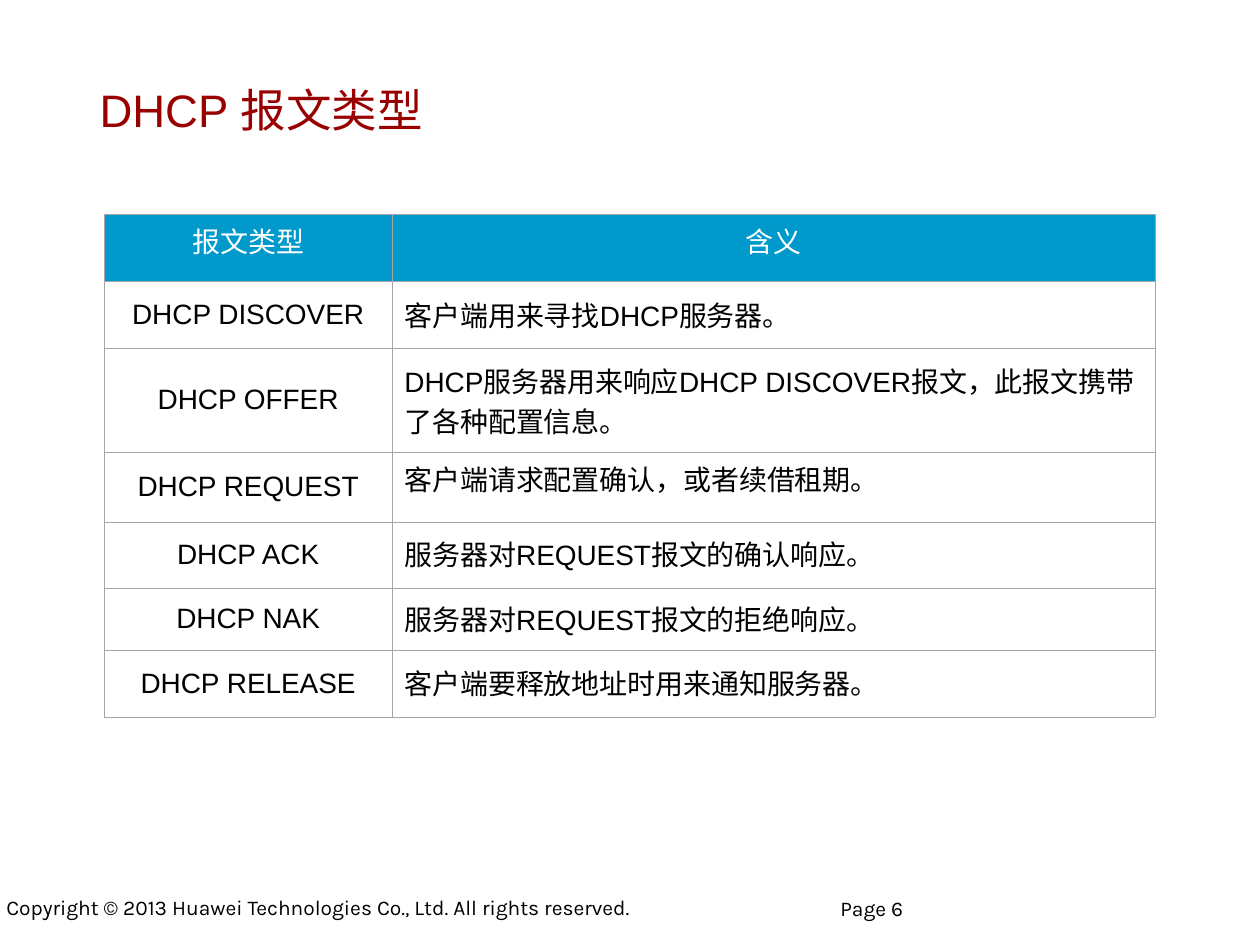
import pptx
import pptx.dml.color
import pptx.enum.text
import pptx.oxml
import pptx.oxml.ns
import pptx.util
from pptx.util import Inches

RGBColor = pptx.dml.color.RGBColor
ALIGN = pptx.enum.text.PP_ALIGN
ANCHOR = pptx.enum.text.MSO_ANCHOR

BLACK = RGBColor(0x00, 0x00, 0x00)
WHITE = RGBColor(0xFF, 0xFF, 0xFF)
DARK_RED = RGBColor(0x99, 0x00, 0x00)
HEADER_BLUE = RGBColor(0x00, 0x99, 0xCC)
GRID_GREY = RGBColor(0xA6, 0xA6, 0xA6)

HEADINGS = ("报文类型", "含义")
# message type, meaning, anchor of the meaning, its line spacing
MESSAGES = [
    ("DHCP DISCOVER", "客户端用来寻找DHCP服务器。", ANCHOR.MIDDLE, 1.0),
    ("DHCP OFFER", "DHCP服务器用来响应DHCP DISCOVER报文，此报文携带了各种配置信息。",
     ANCHOR.MIDDLE, 1.0),
    ("DHCP REQUEST", "客户端请求配置确认，或者续借租期。", ANCHOR.TOP, 1.0),
    ("DHCP ACK", "服务器对REQUEST报文的确认响应。", ANCHOR.MIDDLE, 0.9),
    ("DHCP NAK", "服务器对REQUEST报文的拒绝响应。", ANCHOR.MIDDLE, 0.9),
    ("DHCP RELEASE", "客户端要释放地址时用来通知服务器。", ANCHOR.MIDDLE, 0.9),
]
COLUMN_WIDTHS = (2.28, 6.06)
ROW_HEIGHTS = (0.53, 0.53, 0.83, 0.55, 0.53, 0.49, 0.53)


def apply_format(target, values):
    for name, value in values.items():
        setattr(target, name, value)


class SlidePainter:
    """Holds the shared text style and the slide being filled."""

    text_font = "Arial"
    footer_font = "Karla"
    grid_width = pptx.util.Pt(0.11)

    def __init__(self, slide):
        self.slide = slide

    def fill_text(self, frame, text, size, color, font=None, **layout):
        para = frame.paragraphs[0]
        span = para.add_run()
        span.text = text
        apply_format(para, layout)
        apply_format(span.font, {"name": font or self.text_font,
                                 "size": pptx.util.Pt(size)})
        span.font.color.rgb = color

    def text_box(self, place, text, size, color, font=None,
                 anchor=ANCHOR.TOP, inset=(0.09, 0.04), **layout):
        box = self.slide.shapes.add_textbox(*map(Inches, place))
        side, end = map(Inches, inset)
        apply_format(box.text_frame, {
            "word_wrap": True, "vertical_anchor": anchor,
            "margin_left": side, "margin_right": side,
            "margin_top": end, "margin_bottom": end})
        self.fill_text(box.text_frame, text, size, color, font, **layout)

    def table(self, left, top, widths, heights):
        place = map(Inches, (left, top, sum(widths), sum(heights)))
        table = self.slide.shapes.add_table(len(heights), len(widths), *place).table
        for column, width in zip(table.columns, widths):
            column.width = Inches(width)
        for row, height in zip(table.rows, heights):
            row.height = Inches(height)
        return table

    def cell(self, cell, text, fill, color, anchor=ANCHOR.MIDDLE, **layout):
        apply_format(cell, {
            "vertical_anchor": anchor,
            "margin_left": Inches(0.1), "margin_right": Inches(0.1),
            "margin_top": Inches(0.05), "margin_bottom": Inches(0.05)})
        self.fill_text(cell.text_frame, text, 16, color, **layout)
        self.cell_borders(cell)
        cell.fill.solid()
        cell.fill.fore_color.rgb = fill

    def cell_borders(self, cell):
        properties = cell._tc.get_or_add_tcPr()
        for side in ("lnL", "lnR", "lnT", "lnB"):
            properties.append(pptx.oxml.parse_xml(
                f'<a:{side} {pptx.oxml.ns.nsdecls("a")} w="{self.grid_width}">'
                f'<a:solidFill><a:srgbClr val="{GRID_GREY}"/></a:solidFill>'
                f'</a:{side}>'))


def main():
    deck = pptx.Presentation()
    apply_format(deck, {"slide_width": Inches(10), "slide_height": Inches(7.5)})
    page = SlidePainter(deck.slides.add_slide(deck.slide_layouts[6]))

    page.text_box((-0.04, 7.06, 7, 0.29),
                  "Copyright © 2013 Huawei Technologies Co., Ltd. All rights reserved.",
                  12, BLACK, page.footer_font)
    page.text_box((0.7, 0.39, 8.45, 0.95), "DHCP 报文类型", 26, DARK_RED,
                  anchor=ANCHOR.MIDDLE)

    table = page.table(0.83, 1.7, COLUMN_WIDTHS, ROW_HEIGHTS)
    for column, heading in enumerate(HEADINGS):
        page.cell(table.cell(0, column), heading, HEADER_BLUE, WHITE,
                  ANCHOR.TOP, alignment=ALIGN.CENTER)
    for row, (message, meaning, anchor, spacing) in enumerate(MESSAGES, start=1):
        page.cell(table.cell(row, 0), message, WHITE, BLACK, alignment=ALIGN.CENTER)
        page.cell(table.cell(row, 1), meaning, WHITE, BLACK, anchor,
                  line_spacing=spacing)

    page.text_box((6.67, 7.14, 1.66, 0.36), "Page 6", 12, BLACK,
                  page.footer_font, inset=(0, 0), line_spacing=0.85)
    deck.save("out.pptx")


if __name__ == "__main__":
    main()
